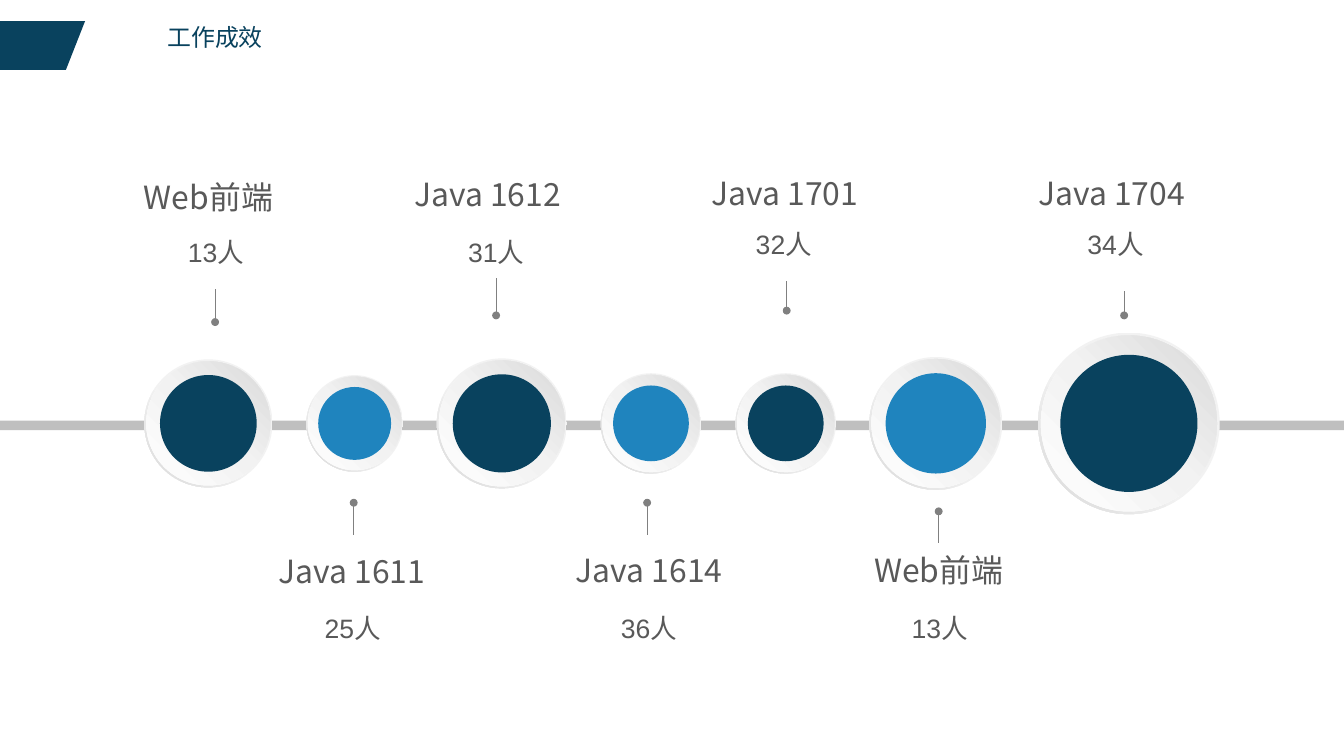
import copy
from dataclasses import dataclass

import pptx
import pptx.dml.color
import pptx.enum.shapes
import pptx.enum.text
import pptx.oxml
import pptx.oxml.ns
import pptx.util
from pptx.util import Inches

SHAPES = pptx.enum.shapes.MSO_SHAPE
ALIGN = pptx.enum.text.PP_ALIGN
ANCHOR = pptx.enum.text.MSO_ANCHOR


@dataclass(frozen=True)
class Theme:
    navy: str = "09425E"
    blue: str = "1F84BE"
    text: str = "595959"
    pointer: str = "808080"
    axis: str = "BFBFBF"
    rim: tuple = ((0, "F2F2F2"), (0.55, "F2F2F2"), (1, "D9D9D9"))
    dish: tuple = ((0, "FFFFFF"), (0.51, "F2F2F2"), (1, "D9D9D9"))
    body_font: str = "Arial"
    class_font: str = "Noto Sans CJK SC"
    title_size: int = 18
    class_size: int = 24
    count_size: int = 20


THEME = Theme()
TITLE = "工作成效"

# class, head count, disc centre x, disc diameter,
# class centre (x, y), count centre (x, y), pointer (x, dot y, end y)
CLASSES = [
    ("Web前端", "13人", 2.18, 1.34, (2.18, 2.06), (2.26, 2.55), (2.25, 3.37, 3.02)),
    ("Java 1611", "25人", 3.71, 1.01, (3.68, 5.97), (3.69, 6.49), (3.7, 5.26, 5.6)),
    ("Java 1612", "31人", 5.25, 1.36, (5.1, 2.03), (5.19, 2.55), (5.19, 3.3, 2.91)),
    ("Java 1614", "36人", 6.81, 1.05, (6.79, 5.96), (6.79, 6.49), (6.77, 5.26, 5.6)),
    ("Java 1701", "32人", 8.22, 1.05, (8.21, 2.02), (8.2, 2.47), (8.23, 3.25, 2.94)),
    ("Web前端", "13人", 9.79, 1.39, (9.82, 5.96), (9.83, 6.49), (9.82, 5.35, 5.68)),
    ("Java 1704", "34人", 11.81, 1.9, (11.63, 2.02), (11.67, 2.47), (11.76, 3.3, 3.04)),
]
DISC_Y = 4.43
DISH_RATIO, CORE_RATIO = 0.97, 0.755
SLIDE_W, SLIDE_H = 14.06, 7.91


def rgb(code):
    return pptx.dml.color.RGBColor.from_string(code)


def paint(shape, color):
    shape.shadow.inherit = False
    shape.fill.solid()
    shape.fill.fore_color.rgb = rgb(color)
    shape.line.fill.background()


def paint_gradient(shape, stops, angle):
    """Fill with three stops; the angle runs counter-clockwise."""
    shape.shadow.inherit = False
    shape.line.fill.background()
    shape.fill.gradient()
    shape.fill.gradient_angle = angle
    first_stop = shape._element.spPr.find(".//" + pptx.oxml.ns.qn("a:gs"))
    first_stop.addnext(copy.deepcopy(first_stop))
    for stop, (position, color) in zip(shape.fill.gradient_stops, stops):
        stop.position = position
        stop.color.rgb = rgb(color)


def add_round(slide, kind, x, diameter):
    return slide.shapes.add_shape(
        kind, Inches(x - diameter / 2), Inches(DISC_Y - diameter / 2),
        Inches(diameter), Inches(diameter))


def add_disc(slide, x, diameter, color):
    rim = add_round(slide, SHAPES.DONUT, x, diameter)
    rim.adjustments[0] = 0.049
    paint_gradient(rim, THEME.rim, 225)
    paint_gradient(add_round(slide, SHAPES.OVAL, x, diameter * DISH_RATIO), THEME.dish, 45)
    paint(add_round(slide, SHAPES.OVAL, x, diameter * CORE_RATIO), color)


def add_pointer(slide, x, dot_y, end_y):
    pointer = slide.shapes.add_connector(
        pptx.enum.shapes.MSO_CONNECTOR.STRAIGHT,
        Inches(x), Inches(dot_y), Inches(x), Inches(end_y))
    pointer.line.color.rgb = rgb(THEME.pointer)
    pointer.line.width = pptx.util.Pt(0.75)
    dot = pptx.oxml.parse_xml(
        f'<a:headEnd {pptx.oxml.ns.nsdecls("a")} type="oval"/>')
    pointer.line._get_or_add_ln().append(dot)
    pointer._element.spPr.append(
        pptx.oxml.parse_xml(f'<a:effectLst {pptx.oxml.ns.nsdecls("a")}/>'))


def format_text(frame, text, font, size, color, align):
    frame.text = text
    paragraph = frame.paragraphs[0]
    paragraph.alignment = align
    paragraph.font.name = font
    paragraph.font.size = pptx.util.Pt(size)
    paragraph.font.color.rgb = rgb(color)
    return paragraph


def add_label(slide, text, centre, extent, inset_y, font, size):
    (x, y), (width, height) = centre, extent
    frame = slide.shapes.add_textbox(
        Inches(x - width / 2), Inches(y - height / 2),
        Inches(width), Inches(height)).text_frame
    frame.word_wrap = True
    frame.vertical_anchor = ANCHOR.MIDDLE
    frame.margin_left = frame.margin_right = Inches(0.14)
    frame.margin_top = frame.margin_bottom = Inches(inset_y)
    return format_text(frame, text, font, size, THEME.text, ALIGN.CENTER)


def add_header(slide):
    banner = slide.shapes.build_freeform(0, Inches(0.22))
    banner.add_line_segments(
        [(Inches(x), Inches(y)) for x, y in ((0.89, 0.22), (0.69, 0.73), (0, 0.73))])
    paint(banner.convert_to_shape(), THEME.navy)

    title = slide.shapes.title
    title.left, title.top = Inches(0.9), Inches(0.19)
    title.width, title.height = Inches(1.95), Inches(0.4)
    frame = title.text_frame
    frame.word_wrap = False
    frame.auto_size = pptx.enum.text.MSO_AUTO_SIZE.NONE
    frame.vertical_anchor = ANCHOR.TOP
    frame.margin_left = frame.margin_right = Inches(0.1)
    frame.margin_top = frame.margin_bottom = Inches(0.05)
    format_text(frame, TITLE, THEME.body_font, THEME.title_size, THEME.navy, ALIGN.RIGHT)


def main():
    deck = pptx.Presentation()
    deck.slide_width, deck.slide_height = Inches(SLIDE_W), Inches(SLIDE_H)
    slide = deck.slides.add_slide(deck.slide_layouts[5])
    add_header(slide)
    axis = slide.shapes.add_shape(
        SHAPES.RECTANGLE, 0, Inches(4.4), Inches(SLIDE_W), Inches(0.1))
    paint(axis, THEME.axis)

    for index, (name, count, disc_x, diameter, name_at, count_at, pointer) in enumerate(CLASSES):
        add_disc(slide, disc_x, diameter, THEME.blue if index % 2 else THEME.navy)
        add_pointer(slide, *pointer)
        add_label(slide, name, name_at, (2.24, 0.27), 0, THEME.class_font, THEME.class_size)
        head_count = add_label(
            slide, count, count_at, (2.5, 0.39), 0.07, THEME.body_font, THEME.count_size)
        head_count.line_spacing = 1.5

    deck.save("out.pptx")


if __name__ == "__main__":
    main()
